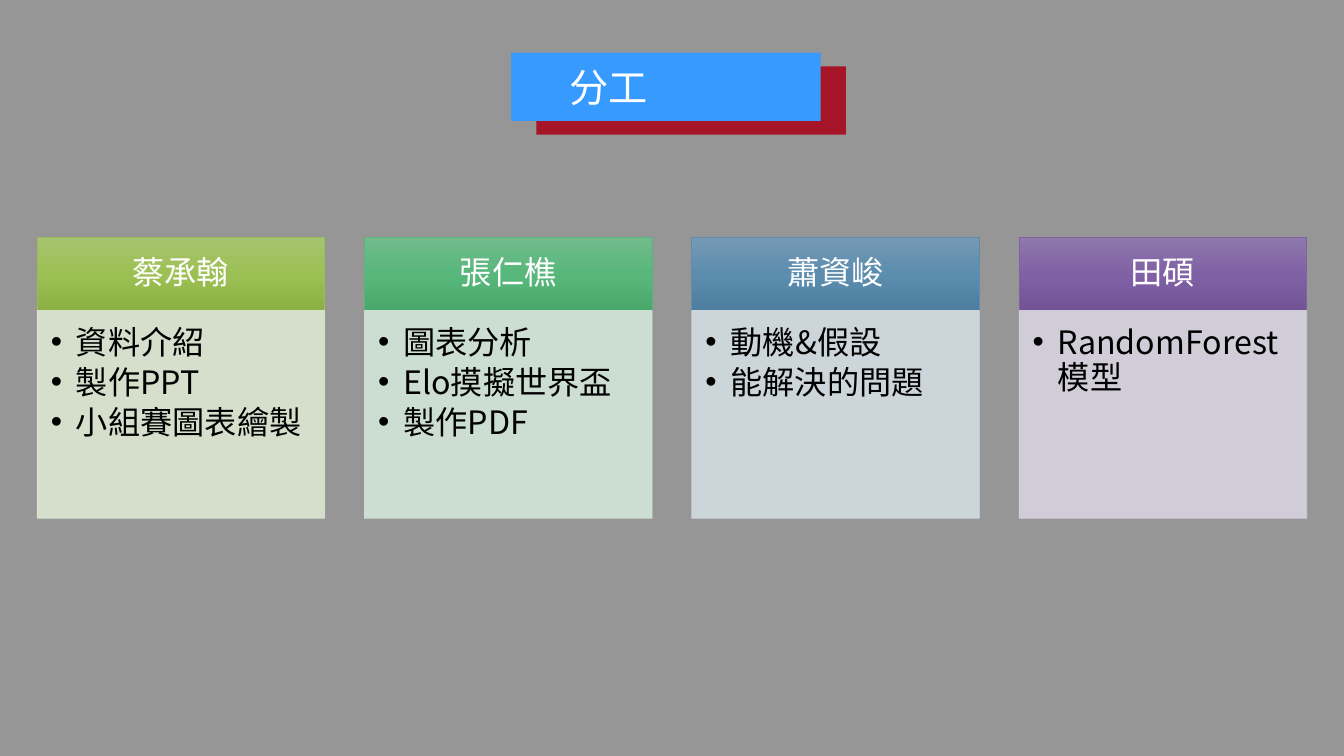
"""Build the team division-of-work slide with four member cards."""
from copy import deepcopy

from lxml import etree
from pptx import Presentation
from pptx.dml.color import RGBColor
from pptx.enum.shapes import MSO_SHAPE
from pptx.enum.text import MSO_ANCHOR, PP_ALIGN
from pptx.oxml.ns import qn
from pptx.util import Pt

FONT = "Noto Sans CJK SC"
WHITE = RGBColor(0xFF, 0xFF, 0xFF)
BLACK = RGBColor(0x00, 0x00, 0x00)
SHADE = RGBColor(0x0D, 0x0D, 0x0D)
RED = RGBColor(0xA6, 0x14, 0x28)
BLUE = RGBColor(0x36, 0x9A, 0xFF)
LIME_STOPS = [RGBColor(0xA6, 0xC3, 0x6F), RGBColor(0x9D, 0xC0, 0x54), RGBColor(0x8D, 0xB0, 0x45)]
LIME_LINE, LIME_PALE = RGBColor(0x9B, 0xBB, 0x59), RGBColor(0xDE, 0xE7, 0xD1)
GREEN_STOPS = [RGBColor(0x72, 0xBB, 0x8B), RGBColor(0x58, 0xB7, 0x7B), RGBColor(0x49, 0xA8, 0x6C)]
GREEN_LINE, GREEN_PALE = RGBColor(0x5C, 0xB3, 0x7C), RGBColor(0xD2, 0xE5, 0xD9)
STEEL_STOPS = [RGBColor(0x75, 0x99, 0xB4), RGBColor(0x5C, 0x8D, 0xAE), RGBColor(0x4E, 0x7E, 0x9F)]
STEEL_LINE, STEEL_PALE = RGBColor(0x60, 0x8C, 0xAB), RGBColor(0xD2, 0xDC, 0xE2)
PURPLE_STOPS = [RGBColor(0x8E, 0x78, 0xAC), RGBColor(0x80, 0x61, 0xA5), RGBColor(0x71, 0x53, 0x96)]
PURPLE_LINE, PURPLE_PALE = RGBColor(0x80, 0x64, 0xA2), RGBColor(0xD8, 0xD3, 0xE0)

CARD_LEFT, CARD_PITCH, CARD_WIDTH = 26.6, 233.8, 205.4
HEADER_TOP, HEADER_HEIGHT, BODY_HEIGHT = 169.8, 52, 148.4
CARDS = [
    ("蔡承翰", ["資料介紹", "製作PPT", "小組賽圖表繪製"], LIME_STOPS, LIME_LINE, LIME_PALE),
    ("張仁樵", ["圖表分析", "Elo摸擬世界盃", "製作PDF"], GREEN_STOPS, GREEN_LINE, GREEN_PALE),
    ("蕭資峻", ["動機&假設", "能解決的問題"], STEEL_STOPS, STEEL_LINE, STEEL_PALE),
    ("田碩", ["RandomForest模型"], PURPLE_STOPS, PURPLE_LINE, PURPLE_PALE),
]
HEADER_FRAME = {
    "word_wrap": True, "vertical_anchor": MSO_ANCHOR.MIDDLE,
    "margin_left": Pt(12.9), "margin_right": Pt(12.9),
    "margin_top": Pt(7.4), "margin_bottom": Pt(7.4),
}
BODY_FRAME = {
    "word_wrap": True, "vertical_anchor": MSO_ANCHOR.TOP,
    "margin_left": Pt(9.7), "margin_right": Pt(12.9),
    "margin_top": Pt(11), "margin_bottom": Pt(14.5),
}
TITLE_FRAME = {"word_wrap": True, "vertical_anchor": MSO_ANCHOR.MIDDLE}
HEADER_PARAGRAPH = {"alignment": PP_ALIGN.CENTER, "line_spacing": 0.9}
BODY_PARAGRAPH = {
    "alignment": PP_ALIGN.LEFT, "line_spacing": Pt(25), "space_after": Pt(3.5), "level": 1,
}
TITLE_PARAGRAPH = {"alignment": PP_ALIGN.JUSTIFY}


def add_box(left, top, width, height, color, opacity=100):
    shape = slide.shapes.add_shape(MSO_SHAPE.RECTANGLE, Pt(left), Pt(top), Pt(width), Pt(height))
    shape.shadow.inherit = False
    shape.fill.solid()
    shape.fill.fore_color.rgb = color
    shape.line.fill.background()
    if opacity < 100:
        color_node = shape.fill._xPr.find(qn("a:solidFill"))[0]
        etree.SubElement(color_node, qn("a:alpha"), val=str(opacity * 1000))
    return shape


def write_text(shape, lines, size, color, frame_format, paragraph_format):
    frame = shape.text_frame
    for name, value in frame_format.items():
        setattr(frame, name, value)
    frame.text = "\n".join(lines)
    for paragraph in frame.paragraphs:
        for name, value in paragraph_format.items():
            setattr(paragraph, name, value)
        font = paragraph.runs[0].font
        for name, value in {"name": FONT, "size": Pt(size)}.items():
            setattr(font, name, value)
        font.color.rgb = color
        etree.SubElement(font._element, qn("a:ea"), typeface=FONT)


presentation = Presentation()
presentation.slide_width = Pt(960)
presentation.slide_height = Pt(540)
slide = presentation.slides.add_slide(presentation.slide_layouts[6])

add_box(0, -1.4, 960, 541.4, SHADE, 43)
add_box(383.2, 47.4, 221, 48.8, RED)
add_box(365.2, 37.6, 221, 48.8, BLUE)
title = slide.shapes.add_textbox(Pt(399.6), Pt(41.8), Pt(152.6), Pt(41))
write_text(title, ["分工"], 28, WHITE, TITLE_FRAME, TITLE_PARAGRAPH)

for index, (member, tasks, stop_colors, line_color, pale_color) in enumerate(CARDS):
    left = CARD_LEFT + index * CARD_PITCH

    header = add_box(left, HEADER_TOP, CARD_WIDTH, HEADER_HEIGHT, line_color)
    header.fill.gradient()
    header.fill.gradient_angle = 270
    stop_list = header._element.spPr.find(qn("a:gradFill")).find(qn("a:gsLst"))
    stop_list.insert(1, deepcopy(stop_list[0]))
    for stop, position, color in zip(header.fill.gradient_stops, (0, 0.5, 1), stop_colors):
        stop.position = position
        stop.color.rgb = color
    header.line.color.rgb = line_color
    header.line.width = Pt(0.5)
    write_text(header, [member], 23, WHITE, HEADER_FRAME, HEADER_PARAGRAPH)

    body = add_box(left, HEADER_TOP + HEADER_HEIGHT, CARD_WIDTH, BODY_HEIGHT, pale_color, 90)
    body.line.color.rgb = pale_color
    body.line.width = Pt(0.5)
    line_node = body.line._ln.find(qn("a:solidFill"))[0]
    etree.SubElement(line_node, qn("a:alpha"), val="90000")
    write_text(body, tasks, 23, BLACK, BODY_FRAME, BODY_PARAGRAPH)
    for paragraph in body.text_frame.paragraphs:
        properties = paragraph._p.get_or_add_pPr()
        properties.set("marL", str(Pt(18)))
        properties.set("indent", str(-Pt(18)))
        etree.SubElement(properties, qn("a:buFont"), typeface="Arial")
        etree.SubElement(properties, qn("a:buChar"), char="•")

presentation.save("out.pptx")
